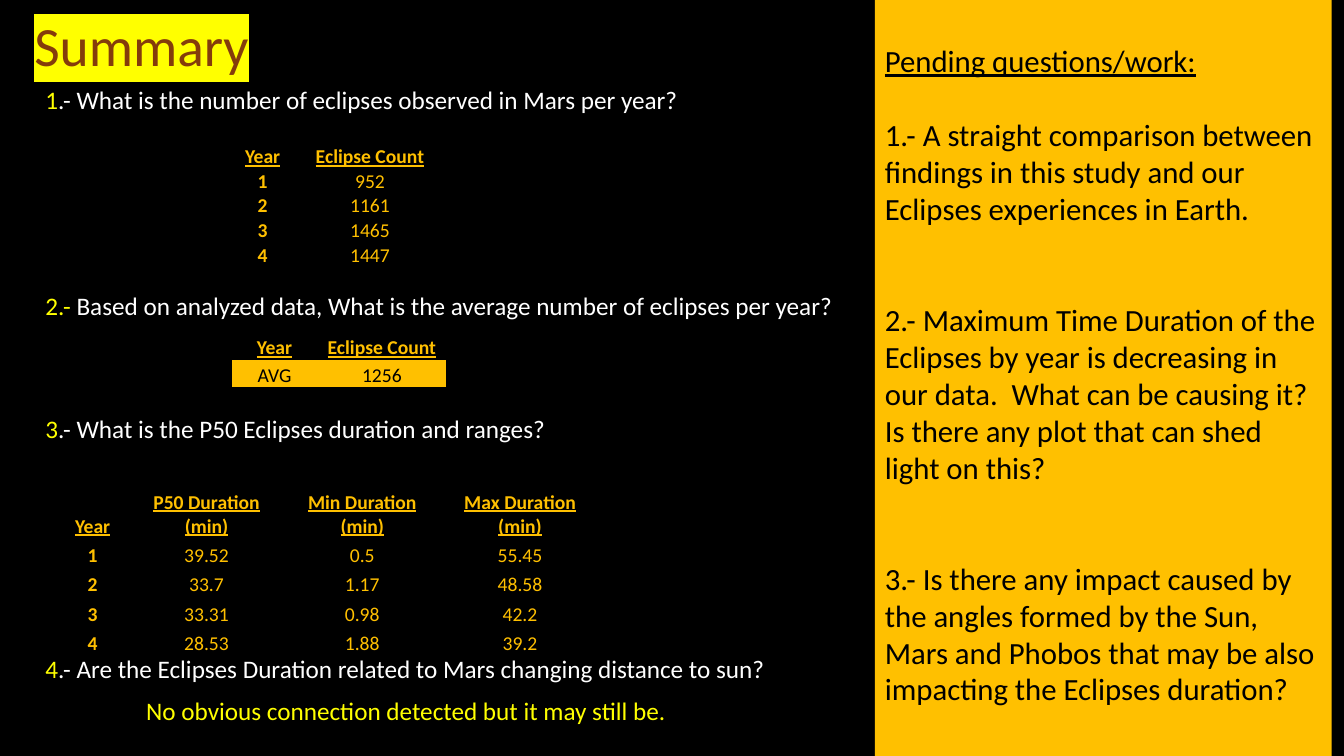
"""Build the summary slide of the Mars eclipse study."""
from dataclasses import dataclass
from typing import Optional

from lxml import etree
from pptx import Presentation
from pptx import util as u
from pptx.dml.color import RGBColor
from pptx.enum import shapes, text
from pptx.oxml import ns

COLORS = {"black": "000000", "white": "FFFFFF", "yellow": "FFFF00",
          "gold": "FFC000", "brown": "843C0B"}
FONT = "Calibri"
PLAIN_TABLE_STYLE = "{2D5ABB26-0587-4C30-8999-92F81FD0307C}"


@dataclass
class Question:
    """A numbered question with the space above it in points."""
    number: str
    wording: str
    space_before: float


@dataclass
class ResultTable:
    """A table of results; lengths are in centimetres."""
    left: float
    top: float
    widths: list[float]
    row_height: float
    rows: list[list[str]]
    highlight: Optional[str] = None


QUESTIONS = [
    Question("1", ".- What is the number of eclipses observed in Mars per year?", 10),
    Question("2.- ", "Based on analyzed data, What is the average number of eclipses per year?", 127.5),
    Question("3", ".- What is the P50 Eclipses duration and ranges?", 69),
    Question("4", ".- Are the Eclipses Duration related to Mars changing distance to sun?", 152),
]
ANSWER = "No obvious connection detected but it may still be."

TABLES = [
    ResultTable(5.54, 3.63, [2.16, 3.25], 0.58, [
        ["Year", "Eclipse Count"],
        ["1", "952"], ["2", "1161"], ["3", "1465"], ["4", "1447"]]),
    ResultTable(5.84, 8.38, [2.16, 3.25], 0.69, [
        ["Year", "Eclipse Count"], ["AVG", "1256"]], highlight="gold"),
    ResultTable(1.42, 12.34, [1.83, 3.91, 3.94, 4.01], 0.74, [
        ["Year", "P50 Duration (min)", "Min Duration (min)", "Max Duration (min)"],
        ["1", "39.52", "0.5", "55.45"],
        ["2", "33.7", "1.17", "48.58"],
        ["3", "33.31", "0.98", "42.2"],
        ["4", "28.53", "1.88", "39.2"]]),
]

PENDING_HEADING = "Pending questions/work:"
PENDING = [
    (26.4, "1.- A straight comparison between findings in this study and our "
           "Eclipses experiences in Earth."),
    (52.8, "2.- Maximum Time Duration of the Eclipses by year is decreasing in our data.  "
           "What can be causing it? Is there any plot that can shed light on this?"),
    (52.8, "3.- Is there any impact caused by the angles formed by the Sun, Mars and "
           "Phobos that may be also impacting the Eclipses duration?"),
]


def rgb(name: str) -> RGBColor:
    """Return the named colour."""
    return RGBColor.from_string(COLORS[name])


def style(font, size: float, color: str, bold: bool = False, underline: bool = False) -> None:
    """Set the face, size, colour and weight of a font."""
    font.name, font.size, font.bold, font.underline = FONT, u.Pt(size), bold, underline
    font.color.rgb = rgb(color)


def place(shape, left: float, top: float, width: float, height: float) -> None:
    """Move and size a shape in centimetres."""
    shape.left, shape.top = u.Cm(left), u.Cm(top)
    shape.width, shape.height = u.Cm(width), u.Cm(height)


def fill_title(title) -> None:
    """Write the highlighted slide title."""
    place(title, 0.61, 0.58, 30.61, 1.3)
    frame = title.text_frame
    frame.auto_size = text.MSO_AUTO_SIZE.NONE
    frame.vertical_anchor = text.MSO_ANCHOR.MIDDLE
    paragraph = frame.paragraphs[0]
    paragraph.alignment, paragraph.line_spacing = text.PP_ALIGN.LEFT, 0.9
    run = paragraph.add_run()
    run.text = "Summary"
    style(run.font, 39.6, "brown")
    highlight = etree.Element(ns.qn("a:highlight"))
    etree.SubElement(highlight, ns.qn("a:srgbClr"), val=COLORS["yellow"])
    run.font.fill._xPr.find(ns.qn("a:solidFill")).addnext(highlight)


def format_line(paragraph, space_before: float, indent: float = 0) -> None:
    """Give a body paragraph its spacing and left margin, without a bullet."""
    paragraph.line_spacing, paragraph.space_before = 0.9, u.Pt(space_before)
    properties = paragraph._p.get_or_add_pPr()
    properties.set("marL", str(u.Cm(indent)))
    properties.set("indent", "0")
    etree.SubElement(properties, ns.qn("a:buNone"))


def fill_questions(body) -> None:
    """Write the questions and the closing answer."""
    place(body, 0.89, 2.08, 20.73, 16.97)
    frame = body.text_frame
    frame.auto_size = text.MSO_AUTO_SIZE.NONE
    for index, question in enumerate(QUESTIONS):
        paragraph = frame.add_paragraph() if index else frame.paragraphs[0]
        format_line(paragraph, question.space_before)
        for wording, color in ((question.number, "yellow"), (question.wording, "white")):
            run = paragraph.add_run()
            run.text = wording
            style(run.font, 18, color)
    answer = frame.add_paragraph()
    answer.text = ANSWER
    format_line(answer, 10, indent=2.54)
    style(answer.font, 18, "yellow")


def add_result_table(slide, result: ResultTable) -> None:
    """Draw one table with an underlined header row."""
    row_count = len(result.rows)
    frame = slide.shapes.add_table(
        row_count, len(result.widths), u.Cm(result.left), u.Cm(result.top),
        u.Cm(sum(result.widths)), u.Cm(result.row_height * row_count))
    table = frame.table
    table.first_row = table.horz_banding = False
    next(frame.element.iter(ns.qn("a:tableStyleId"))).text = PLAIN_TABLE_STYLE
    for column, width in zip(table.columns, result.widths):
        column.width = u.Cm(width)
    for row_index, values in enumerate(result.rows):
        table.rows[row_index].height = u.Cm(result.row_height)
        header = row_index == 0
        highlighted = bool(result.highlight) and not header
        for column_index, value in enumerate(values):
            cell = table.cell(row_index, column_index)
            cell.margin_left = cell.margin_right = cell.margin_top = u.Cm(0.02)
            cell.margin_bottom = 0
            cell.vertical_anchor = text.MSO_ANCHOR.BOTTOM
            if highlighted:
                cell.fill.solid()
                cell.fill.fore_color.rgb = rgb(result.highlight)
            else:
                cell.fill.background()
            paragraph = cell.text_frame.paragraphs[0]
            paragraph.text = value
            paragraph.alignment = text.PP_ALIGN.CENTER
            bold = header or (column_index == 0 and not highlighted)
            style(paragraph.font, 14, "black" if highlighted else "gold", bold, header)


def add_pending_panel(slide) -> None:
    """Draw the side panel with the open questions."""
    panel = slide.shapes.add_shape(shapes.MSO_SHAPE.RECTANGLE, 0, 0, 0, 0)
    place(panel, 22.05, 0, 11.51, 19.08)
    panel.shadow.inherit = False
    panel.fill.solid()
    panel.fill.fore_color.rgb = rgb("gold")
    panel.line.fill.background()
    frame = panel.text_frame
    frame.word_wrap = True
    frame.vertical_anchor = text.MSO_ANCHOR.TOP
    frame.margin_top = u.Cm(1.06)
    for index, (space_before, wording) in enumerate([(0, PENDING_HEADING), *PENDING]):
        paragraph = frame.add_paragraph() if index else frame.paragraphs[0]
        paragraph.text = wording
        paragraph.alignment = text.PP_ALIGN.LEFT
        paragraph.space_before = u.Pt(space_before)
        style(paragraph.font, 22, "black", underline=index == 0)


def main() -> None:
    """Build and save the presentation."""
    presentation = Presentation()
    presentation.slide_width, presentation.slide_height = u.Cm(33.87), u.Cm(19.05)
    slide = presentation.slides.add_slide(presentation.slide_layouts[1])
    slide.background.fill.solid()
    slide.background.fill.fore_color.rgb = rgb("black")
    fill_title(slide.shapes.title)
    fill_questions(slide.placeholders[1])
    for result in TABLES:
        add_result_table(slide, result)
    add_pending_panel(slide)
    presentation.save("out.pptx")


main()
